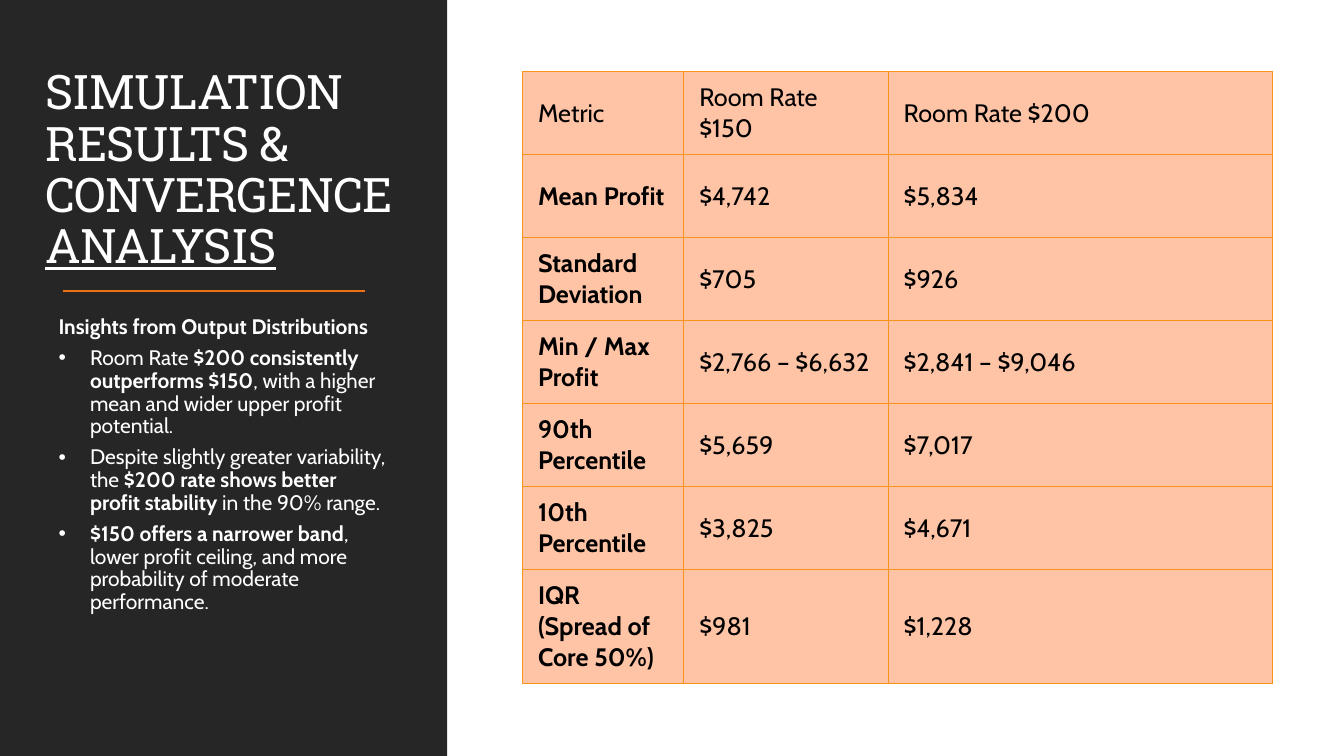
"""Build the simulation results slide: a dark insight panel beside a metrics table."""
from lxml import etree
from pptx import Presentation
from pptx import util as u
from pptx.dml.color import RGBColor
from pptx.enum import shapes, text
from pptx.oxml import ns

DARK = RGBColor(0x26, 0x26, 0x26)
WHITE = RGBColor(0xFF, 0xFF, 0xFF)
BLACK = RGBColor(0, 0, 0)
ORANGE = RGBColor(0xEC, 0x70, 0x16)
AMBER = RGBColor(0xF8, 0x93, 0x1D)
PEACH = RGBColor(0xFF, 0xC4, 0xA6)

TITLE = [("SIMULATION RESULTS & CONVERGENCE", False), (" ANALYSIS", True)]
HEADING = [("Insights from Output Distributions", True)]
INSIGHTS = [
    [("Room Rate ", False), ("$200 consistently outperforms $150", True),
     (", with a higher mean and wider upper profit potential.", False)],
    [("Despite slightly greater variability, the ", False),
     ("$200 rate shows better profit stability", True),
     (" in the 90% range.", False)],
    [("$150 offers a narrower band", True),
     (", lower profit ceiling, and more probability of moderate performance.", False)],
]
METRICS = [
    ("Metric", "Room Rate $150", "Room Rate $200"),
    ("Mean Profit", "$4,742", "$5,834"),
    ("Standard Deviation", "$705", "$926"),
    ("Min / Max Profit", "$2,766 – $6,632", "$2,841 – $9,046"),
    ("90th Percentile", "$5,659", "$7,017"),
    ("10th Percentile", "$3,825", "$4,671"),
    ("IQR (Spread of Core 50%)", "$981", "$1,228"),
]


class SlideBuilder:
    """Hold the text style and the current slide, and draw each kind of element."""

    title_font = "Roboto Slab"
    body_font = "Cabin"

    def __init__(self, slide):
        self.slide = slide

    def add_span(self, para, words, size, color, font=body_font, bold=False):
        span = para.add_run()
        span.text = words
        span.font.name = font
        span.font.size = u.Pt(size)
        span.font.bold = bold
        span.font.color.rgb = color
        return span

    def space_lines(self, para):
        para.line_spacing = 0.9
        para.space_before = u.Pt(0)
        para.space_after = u.Pt(6)
        para.alignment = text.PP_ALIGN.LEFT

    def place(self, shape, left, top, width, height):
        shape.left, shape.top = u.Pt(left), u.Pt(top)
        shape.width, shape.height = u.Pt(width), u.Pt(height)

    def panel(self, left, top, width, height, color):
        panel = self.slide.shapes.add_shape(
            shapes.MSO_SHAPE.RECTANGLE, *map(u.Pt, (left, top, width, height)))
        panel.shadow.inherit = False
        panel.fill.solid()
        panel.fill.fore_color.rgb = color
        panel.line.fill.background()
        self.slide.shapes.element.insert(2, panel.element)

    def title(self, spans, left, top, width, height):
        title = self.slide.shapes.title
        self.place(title, left, top, width, height)
        frame = title.text_frame
        frame.word_wrap = True
        frame.auto_size = text.MSO_AUTO_SIZE.NONE
        frame.vertical_anchor = text.MSO_ANCHOR.BOTTOM
        para = frame.paragraphs[0]
        self.space_lines(para)
        for words, underlined in spans:
            span = self.add_span(para, words, 34, WHITE, self.title_font)
            span.font.underline = underlined
            span.font._element.set("spc", "-50")

    def rule(self, left, top, right):
        rule = self.slide.shapes.add_connector(
            shapes.MSO_CONNECTOR.STRAIGHT, *map(u.Pt, (left, top, right, top)))
        rule.line.color.rgb = ORANGE
        rule.line.width = u.Pt(1.5)
        etree.SubElement(rule.element.spPr, ns.qn("a:effectLst"))

    def insights(self, heading, bullets, left, top, width, height):
        box = self.slide.shapes.add_textbox(*map(u.Pt, (left, top, width, height)))
        frame = box.text_frame
        frame.word_wrap = True
        frame.margin_left = frame.margin_right = 0
        for index, spans in enumerate([heading, *bullets]):
            para = frame.add_paragraph() if index else frame.paragraphs[0]
            self.space_lines(para)
            if index:
                self.bullet(para)
            for words, bold in spans:
                self.add_span(para, words, 15, WHITE, bold=bold)

    def bullet(self, para):
        indent = u.Pt(22.5)
        props = para._p.get_or_add_pPr()
        props.set("marL", str(indent))
        props.set("indent", str(-indent))
        etree.SubElement(props, ns.qn("a:buFont"), typeface="Arial")
        etree.SubElement(props, ns.qn("a:buChar"), char="•")

    def table(self, rows, left, top, widths, heights):
        frame = self.slide.shapes.add_table(
            len(rows), len(widths),
            *map(u.Pt, (left, top, sum(widths), sum(heights))))
        table = frame.table
        table.first_row = table.horz_banding = False
        for column, width in zip(table.columns, widths):
            column.width = u.Pt(width)
        for row, height in zip(table.rows, heights):
            row.height = u.Pt(height)
        for r, values in enumerate(rows):
            for c, value in enumerate(values):
                self.cell(table.cell(r, c), value, bold=r > 0 and c == 0)

    def cell(self, cell, value, bold):
        cell.margin_left = cell.margin_right = u.Pt(11)
        cell.margin_top = cell.margin_bottom = u.Pt(5.5)
        cell.vertical_anchor = text.MSO_ANCHOR.MIDDLE
        props = cell._tc.get_or_add_tcPr()
        for side in "LRTB":
            border = etree.SubElement(props, ns.qn(f"a:ln{side}"), w=str(u.Pt(1)))
            fill = etree.SubElement(border, ns.qn("a:solidFill"))
            etree.SubElement(fill, ns.qn("a:srgbClr"), val=str(AMBER))
        cell.fill.solid()
        cell.fill.fore_color.rgb = PEACH
        self.add_span(cell.text_frame.paragraphs[0], value, 18, BLACK, bold=bold)


def main():
    deck = Presentation()
    deck.slide_width, deck.slide_height = u.Pt(960), u.Pt(540)
    page = SlideBuilder(deck.slides.add_slide(deck.slide_layouts[5]))
    page.panel(0, 0, 319.5, 540, DARK)
    page.title(TITLE, 25.2, 45.4, 296.6, 154)
    page.rule(45.2, 208, 261)
    page.insights(HEADING, INSIGHTS, 41.8, 222.5, 237, 237)
    page.table(METRICS, 373.3, 51.3, [115.2, 146, 274.2], [59.3] * 6 + [81.2])
    deck.save("out.pptx")


if __name__ == "__main__":
    main()
